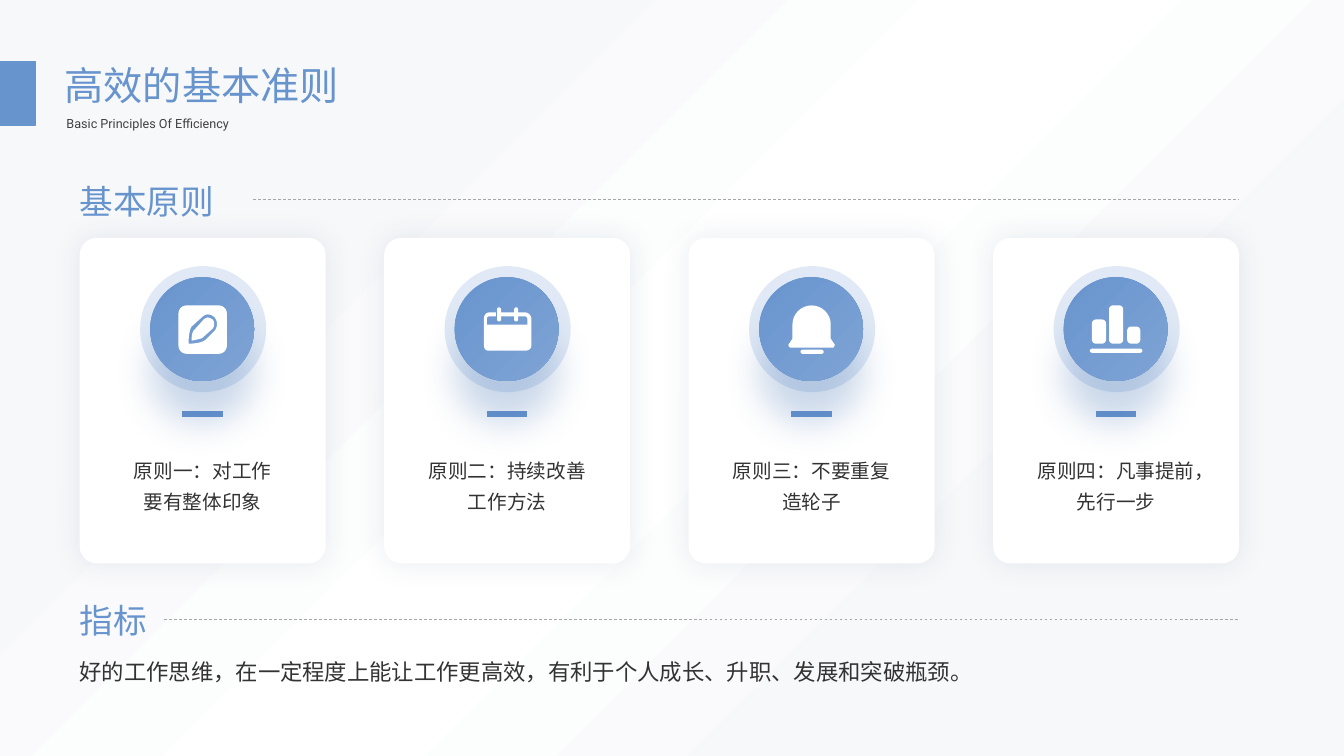
import math
from dataclasses import dataclass

from lxml import etree
from pptx import Presentation
from pptx import util as u
from pptx.dml.color import RGBColor
from pptx.enum import dml, shapes, text
from pptx.oxml.ns import qn

PX = 9144  # EMU in one px (100 px to the inch)
FONT = "Roboto"
BLUE = RGBColor(0x68, 0x94, 0xCE)
LIGHT_BLUE = RGBColor(0x7F, 0xA4, 0xD5)
CARD_SHADOW = RGBColor(0x26, 0x48, 0x75)
DISC_SHADOW = RGBColor(0x39, 0x6C, 0xB0)
WHITE = RGBColor(0xFF, 0xFF, 0xFF)
MIST = RGBColor(0xF7, 0xF8, 0xFA)
INK = RGBColor(0x33, 0x33, 0x33)
GREY = RGBColor(0x40, 0x40, 0x40)
RULE = RGBColor(0xA6, 0xA6, 0xA6)

CARD_LEFT, CARD_STEP, CARD_WIDTH = 79, 302, 244
DISC_Y = 327

Contour = list[tuple[float, float]]


@dataclass
class Card:
    label: str
    label_width: int
    icon: list[Contour]


@dataclass
class Section:
    heading: str
    top: int
    width: int
    rule_left: int


def px(n: float) -> int:
    return round(n * PX)


def box(*lengths: int) -> list[int]:
    return [px(n) for n in lengths]


# Outlines: a two-number step is a line, a six-number step a Bézier curve
def outline(*steps: tuple[int, ...]) -> Contour:
    points: Contour = [steps[0]]
    for step in steps[1:]:
        if len(step) == 2:
            points.append(step)
            continue
        (x0, y0), (x1, y1, x2, y2, x3, y3) = points[-1], step
        for t in (k / 8 for k in range(1, 9)):
            a, b, c, d = (1 - t) ** 3, 3 * t * (1 - t) ** 2, 3 * t * t * (1 - t), t ** 3
            points.append((a * x0 + b * x1 + c * x2 + d * x3,
                           a * y0 + b * y1 + c * y2 + d * y3))
    return points


def rounded(left: int, top: int, right: int, bottom: int, radius: int) -> Contour:
    corners = [(right - radius, bottom - radius), (left + radius, bottom - radius),
               (left + radius, top + radius), (right - radius, top + radius)]
    return [(x + radius * math.cos(a), y + radius * math.sin(a))
            for i, (x, y) in enumerate(corners)
            for a in (math.radians(90 * i + 15 * k) for k in range(7))]


# Icons, measured from the middle of the disc
PEN = [
    rounded(-24, -24, 24, 24, 8),
    outline((5, -15), (3, -15, 1, -14, -1, -12), (-11, -3), (-14, 1, -14, 14, -14, 14),
            (-14, 14, -1, 14, 3, 10), (12, 1), (15, -3, 15, -8, 12, -12),
            (10, -14, 8, -15, 5, -15)),
    outline((5, -12), (7, -12, 8, -11, 10, -10), (12, -7, 12, -4, 10, -1), (0, 8),
            (-1, 9, -6, 10, -11, 11), (-11, 6, -10, 1, -8, 0), (1, -10),
            (2, -11, 4, -12, 5, -12)),
]
CALENDAR = [
    outline((-18, -17), (-11, -17), (-11, -13), (-18, -13), (-19, -13, -20, -12, -20, -11),
            (-20, -5), (20, -5), (20, -11), (20, -12, 19, -13, 18, -13), (11, -13),
            (11, -17), (18, -17), (21, -17, 24, -14, 24, -11), (24, 16),
            (24, 19, 21, 21, 18, 21), (-18, 21), (-21, 21, -23, 19, -23, 16), (-23, -11),
            (-23, -14, -21, -17, -18, -17)),
    rounded(-6, -17, 7, -13, 0),
    rounded(-10, -22, -6, -8, 2),
    rounded(7, -22, 11, -8, 2),
]
BELL = [
    outline((0, -24), (10, -24, 19, -16, 19, -5), (19, 9), (23, 15), (23, 16, 22, 18, 21, 18),
            (-21, 18), (-22, 18, -23, 16, -23, 15), (-19, 9), (-19, -5),
            (-19, -16, -10, -24, 0, -24)),
    rounded(-11, 20, 12, 24, 2),
]
BARS = [rounded(-26, 19, 26, 23, 2), rounded(-24, -10, -10, 14, 4),
        rounded(-7, -24, 7, 14, 4), rounded(11, -3, 24, 14, 4)]

CARDS = [
    Card("原则一：对工作要有整体印象", 174, PEN),
    Card("原则二：持续改善\v工作方法", 218, CALENDAR),
    Card("原则三：不要重复\v造轮子", 224, BELL),
    Card("原则四：凡事提前，先行一步", 190, BARS),
]
SECTIONS = [Section("基本原则", 179, 135, 251), Section("指标", 595, 67, 163)]


def add_color(parent, rgb: RGBColor, alpha: int) -> None:
    color = etree.SubElement(parent, qn("a:srgbClr"), val=str(rgb))
    if alpha < 100:
        etree.SubElement(color, qn("a:alpha"), val=str(alpha * 1000))


def set_gradient(fill, owner, stops: list[tuple[int, RGBColor, int]]) -> None:
    fill.gradient()
    fill.gradient_angle = 315
    stop_list = owner.find(".//" + qn("a:gsLst"))
    for old in list(stop_list):
        stop_list.remove(old)
    for pos, rgb, alpha in stops:
        add_color(etree.SubElement(stop_list, qn("a:gs"), pos=str(pos * 1000)), rgb, alpha)


def add_shadow(sp, rgb: RGBColor, alpha: int, blur: int, dist: int) -> None:
    shadow = etree.SubElement(
        sp._element.spPr.find(qn("a:effectLst")), qn("a:outerShdw"),
        blurRad=str(u.Pt(blur)), dist=str(u.Pt(dist)), dir="5400000",
        algn="ctr", rotWithShape="0")
    add_color(shadow, rgb, alpha)


def add_plain(parent, kind, left: int, top: int, width: int, height: int, rgb: RGBColor):
    sp = parent.add_shape(kind, *box(left, top, width, height))
    sp.shadow.inherit = False
    sp.fill.solid()
    sp.fill.fore_color.rgb = rgb
    sp.line.fill.background()
    return sp


def add_rule(parent, left: int, right: int, y: int, rgb: RGBColor, width: float):
    line = parent.add_connector(shapes.MSO_CONNECTOR.STRAIGHT, *box(left, y, right, y))
    line.line.color.rgb = rgb
    line.line.width = u.Pt(width)
    etree.SubElement(line._element.spPr, qn("a:effectLst"))
    return line


def write(sp, words: str, size: int, rgb: RGBColor, wrap: bool = True, inset: bool = True,
          anchor=text.MSO_ANCHOR.TOP, align=text.PP_ALIGN.LEFT, spacing: float = 1.0) -> None:
    tf = sp.text_frame
    tf.word_wrap = wrap
    tf.auto_size = text.MSO_AUTO_SIZE.SHAPE_TO_FIT_TEXT
    tf.vertical_anchor = anchor
    if not inset:
        tf.margin_left = tf.margin_right = tf.margin_top = tf.margin_bottom = 0
    p = tf.paragraphs[0]
    p.text = words
    p.alignment = align
    p.line_spacing = spacing
    p.font.name, p.font.size, p.font.color.rgb = FONT, u.Pt(size), rgb


def add_icon(parent, icon: list[Contour], x: int) -> None:
    builder = None
    for contour in icon:
        points = [(px(x + dx), px(DISC_Y + dy)) for dx, dy in contour]
        if builder is None:
            builder = parent.build_freeform(*points[0], scale=1.0)
        else:
            builder.move_to(*points[0])
        builder.add_line_segments(points[1:], close=True)
    sp = builder.convert_to_shape()
    sp.shadow.inherit = False
    sp.fill.solid()
    sp.fill.fore_color.rgb = WHITE
    sp.line.fill.background()


def add_card(slide, card: Card, left: int) -> None:
    parts = slide.shapes.add_group_shape().shapes
    mid = left + CARD_WIDTH // 2
    panel = add_plain(parts, shapes.MSO_SHAPE.ROUNDED_RECTANGLE, left, 236, CARD_WIDTH, 323, WHITE)
    panel.adjustments[0] = 0.07
    add_shadow(panel, CARD_SHADOW, 10, 20, 0)
    label = parts.add_textbox(*box(mid - card.label_width // 2, 444, card.label_width, 69))
    write(label, card.label, 14, INK, anchor=text.MSO_ANCHOR.MIDDLE,
          align=text.PP_ALIGN.CENTER, spacing=1.3)
    add_rule(parts, mid - 20, mid + 20, 411, BLUE, 4)
    halo = add_plain(parts, shapes.MSO_SHAPE.OVAL, mid - 62, 264, 125, 125, BLUE)
    etree.SubElement(halo._element.spPr.find(".//" + qn("a:srgbClr")), qn("a:alpha"), val="20000")
    disc = add_plain(parts, shapes.MSO_SHAPE.OVAL, mid - 52, 275, 103, 103, BLUE)
    set_gradient(disc.fill, disc._element.spPr, [(1, BLUE, 100), (100, LIGHT_BLUE, 100)])
    add_shadow(disc, DISC_SHADOW, 25, 26, 30)
    add_icon(parts, card.icon, mid)


def main() -> None:
    prs = Presentation()
    prs.slide_width, prs.slide_height = box(1333, 750)
    slide = prs.slides.add_slide(prs.slide_layouts[5])
    set_gradient(slide.background.fill, slide._element.cSld,
                 [(0, MIST, 100), (25, MIST, 100), (50, WHITE, 0), (75, MIST, 100), (100, MIST, 74)])

    # Title block
    title = slide.shapes.title
    title.left, title.top, title.width, title.height = box(64, 61, 275, 47)
    write(title, "高效的基本准则", 28, BLUE, wrap=False, inset=False)
    subtitle = slide.shapes.add_textbox(*box(66, 112, 364, 17))
    write(subtitle, "Basic Principles Of Efficiency", 9, GREY, inset=False,
          align=text.PP_ALIGN.JUSTIFY, spacing=1.2)
    accent = add_plain(slide.shapes, shapes.MSO_SHAPE.RECTANGLE, 0, 61, 35, 63, BLUE)
    accent.line.color.rgb = BLUE
    accent.line.width = u.Pt(1)

    # Principle cards
    for i, card in enumerate(CARDS):
        add_card(slide, card, CARD_LEFT + i * CARD_STEP)

    # Closing sentence
    closing = slide.shapes.add_textbox(*box(69, 635, 1150, 47))
    write(closing, "好的工作思维，在一定程度上能让工作更高效，有利于个人成长、升职、发展和突破瓶颈。",
          16, INK, spacing=1.5)

    # Section headings with dashed rules
    for section in SECTIONS:
        heading = slide.shapes.add_textbox(*box(CARD_LEFT, section.top, section.width, 40))
        write(heading, section.heading, 24, BLUE, wrap=False, inset=False,
              anchor=text.MSO_ANCHOR.MIDDLE)
        rule = add_rule(slide.shapes, section.rule_left, 1229, section.top + 19, RULE, 0.5)
        rule.line.dash_style = dml.MSO_LINE.DASH

    prs.save("out.pptx")


if __name__ == "__main__":
    main()
